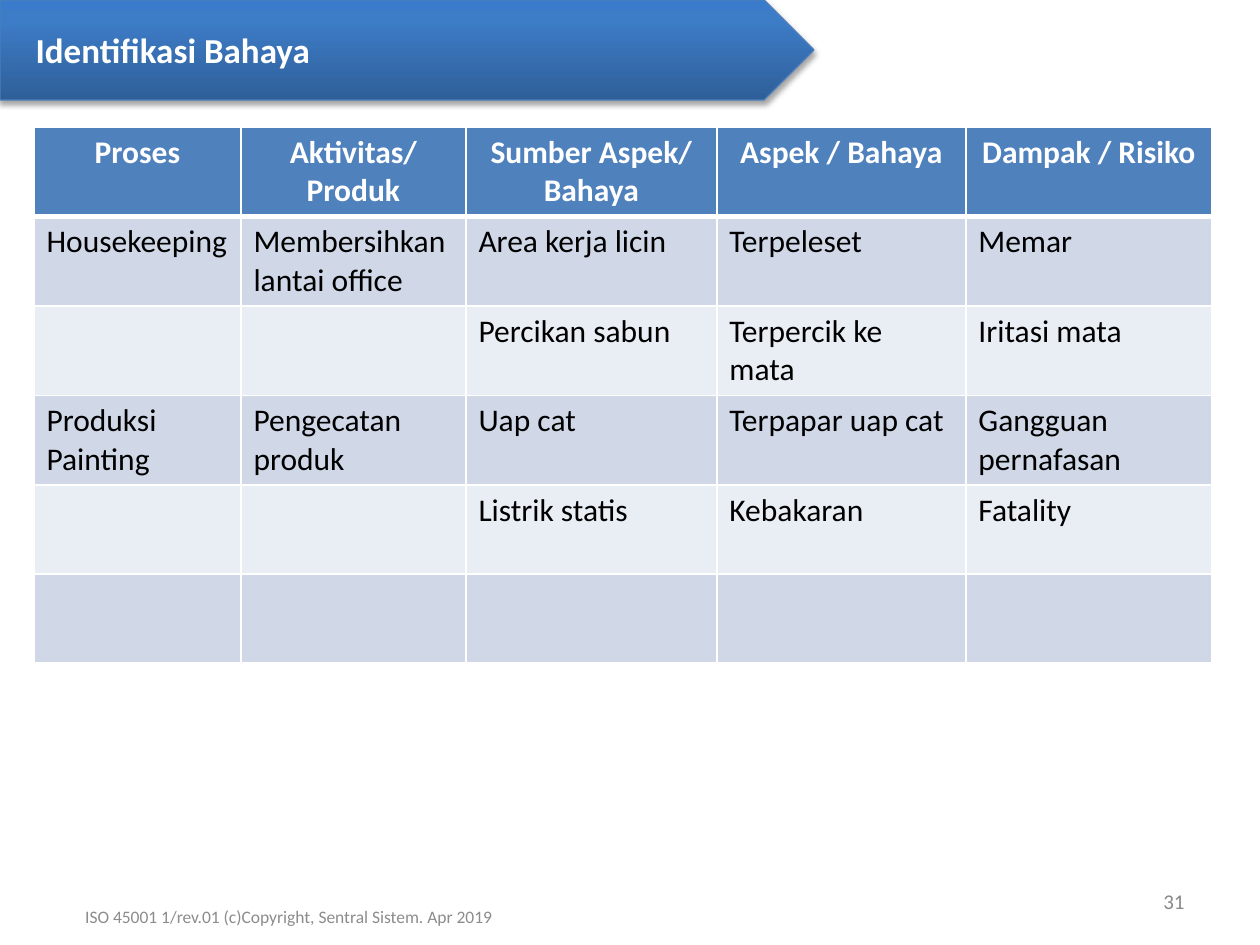
"""Build the hazard identification slide with its table, banner and footer."""
from lxml import etree
from pptx import Presentation
from pptx import util as u
from pptx.dml.color import RGBColor
from pptx.enum import shapes, text
from pptx.oxml import parse_xml
from pptx.oxml.ns import nsdecls, qn

TITLE = "Identifikasi Bahaya"
FOOTER = "ISO 45001 1/rev.01 (c)Copyright, Sentral Sistem. Apr 2019"
PAGE = "31"
ROWS = [
    ("Proses", "Aktivitas/ Produk", "Sumber Aspek/ Bahaya", "Aspek / Bahaya", "Dampak / Risiko"),
    ("Housekeeping", "Membersihkan lantai office", "Area kerja licin", "Terpeleset", "Memar"),
    ("", "", "Percikan sabun", "Terpercik ke mata", "Iritasi mata"),
    ("Produksi Painting", "Pengecatan produk", "Uap cat", "Terpapar uap cat", "Gangguan pernafasan"),
    ("", "", "Listrik statis", "Kebakaran", "Fatality"),
    ("", "", "", "", ""),
]
COL_WIDTHS = [207, 225, 251, 249, 246]
ROW_HEIGHT = 89
COLORS = {
    "white": "FFFFFF", "black": "000000", "head": "4F81BD", "odd": "D0D8E8",
    "even": "E9EDF4", "line": "4B7EBC", "page": "898989", "footer": "8C8C8C",
}
GRADIENT = [(0, "2F5F99"), (80, "3D7CC7"), (100, "3A7CCB")]
ALIGN = text.PP_ALIGN
MIDDLE = text.MSO_ANCHOR.MIDDLE


def px(n):
    return u.Emu(n * 914400 // 126)


def box(*lengths):
    return [px(n) for n in lengths]


def rgb(name):
    return RGBColor.from_string(COLORS[name])


def write(tf, content, size=18, color="black", bold=False, align=ALIGN.LEFT, anchor=None):
    tf.word_wrap = True
    if anchor is not None:
        tf.vertical_anchor = anchor
    p = tf.paragraphs[0]
    p.alignment = align
    if content:
        r = p.add_run()
        r.text = content
        r.font.name = "Calibri"
        r.font.size = u.Pt(size)
        r.font.bold = bold
        r.font.color.rgb = rgb(color)


def set_borders(cell, **widths):
    pr = cell._tc.get_or_add_tcPr()
    for i, (side, width) in enumerate(widths.items()):
        pr.insert(i, parse_xml(
            f'<a:{side} {nsdecls("a")} w="{u.Pt(width)}"><a:solidFill>'
            f'<a:srgbClr val="{COLORS["white"]}"/></a:solidFill></a:{side}>'))


def add_banner(s):
    sp = s.shapes.add_shape(shapes.MSO_SHAPE.PENTAGON, *box(0, 0, 814, 100))
    sp.line.color.rgb = rgb("line")
    sp.line.width = u.Pt(0.75)
    sp.shadow.inherit = False
    pr = sp.element.spPr
    stops = "".join(f'<a:gs pos="{pos * 1000}"><a:srgbClr val="{c}"/></a:gs>' for pos, c in GRADIENT)
    pr.find(qn("a:prstGeom")).addnext(parse_xml(
        f'<a:gradFill {nsdecls("a")} rotWithShape="1"><a:gsLst>{stops}</a:gsLst>'
        '<a:lin ang="16200000" scaled="0"/></a:gradFill>'))
    shadow = etree.SubElement(
        pr.find(qn("a:effectLst")), qn("a:outerShdw"), blurRad=str(u.Pt(3.1)),
        dist=str(u.Pt(1.8)), dir="5400000", rotWithShape="0")
    tint = etree.SubElement(shadow, qn("a:srgbClr"), val=COLORS["black"])
    etree.SubElement(tint, qn("a:alpha"), val="35000")
    return sp


def add_table(s):
    frame = s.shapes.add_table(
        len(ROWS), len(COL_WIDTHS), *box(34, 127, sum(COL_WIDTHS), ROW_HEIGHT * len(ROWS)))
    table = frame.table
    for col, width in zip(table.columns, COL_WIDTHS):
        col.width = px(width)
    for i, row in enumerate(ROWS):
        table.rows[i].height = px(ROW_HEIGHT)
        head = i == 0
        fill = "head" if head else ("even", "odd")[i % 2]
        for j, content in enumerate(row):
            cell = table.cell(i, j)
            cell.fill.solid()
            cell.fill.fore_color.rgb = rgb(fill)
            set_borders(cell, lnL=1, lnR=1, lnT=3 if i == 1 else 1, lnB=3 if head else 1)
            write(cell.text_frame, content, bold=head, color="white" if head else "black",
                  align=ALIGN.CENTER if head else ALIGN.LEFT)


def main():
    prs = Presentation()
    prs.slide_width, prs.slide_height = px(1260), px(945)
    s = prs.slides.add_slide(prs.slide_layouts[5])
    title = s.shapes.title
    title.left, title.top, title.width, title.height = box(23, 0, 727, 100)
    write(title.text_frame, TITLE, size=20, color="white", bold=True, anchor=MIDDLE)
    title.element.addprevious(add_banner(s).element)
    add_table(s)
    page = s.shapes.add_textbox(*box(903, 876, 294, 50))
    write(page.text_frame, PAGE, size=12, color="page", align=ALIGN.RIGHT, anchor=MIDDLE)
    footer = s.shapes.add_textbox(*box(48, 892, 481, 50))
    write(footer.text_frame, FOOTER, size=10, color="footer", align=ALIGN.CENTER, anchor=MIDDLE)
    prs.save("out.pptx")


if __name__ == "__main__":
    main()
